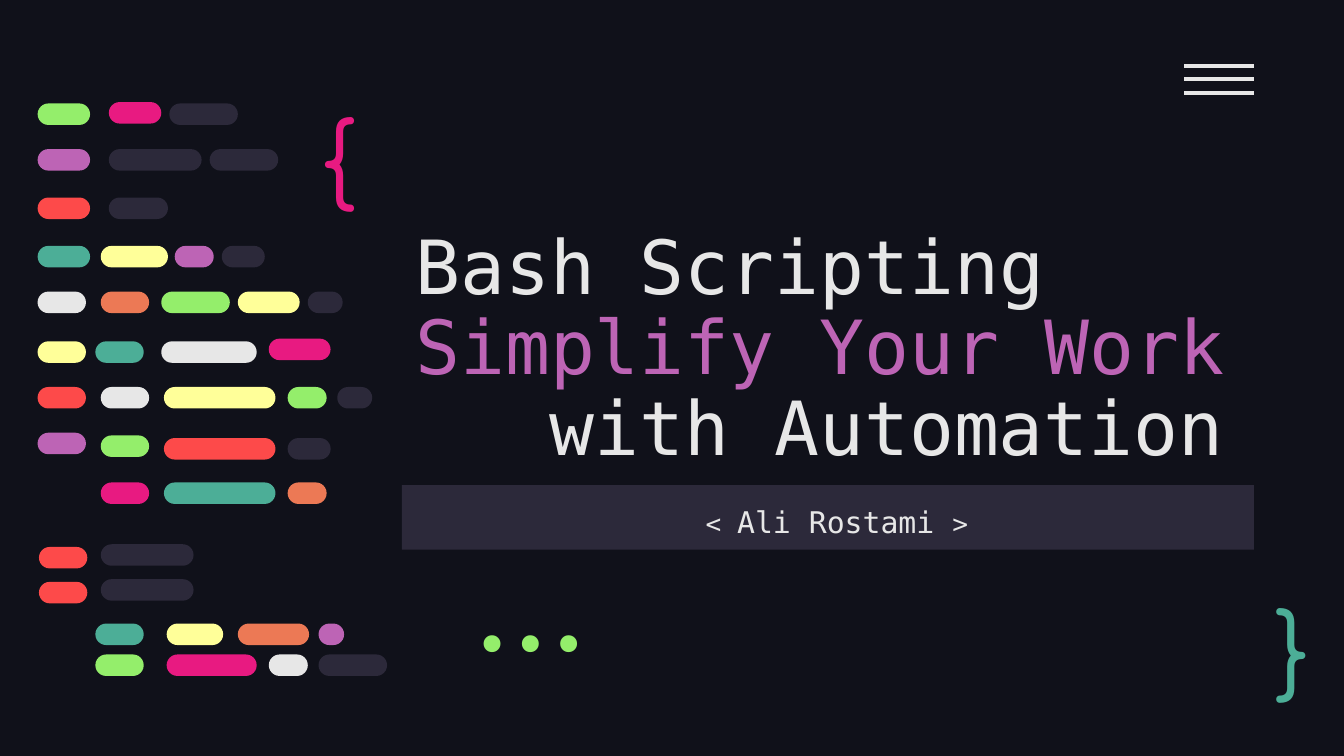
import pptx
import pptx.dml.color
import pptx.enum.shapes
import pptx.enum.text
import pptx.oxml
import pptx.oxml.ns
import pptx.util

CELL = pptx.util.Inches(0.01)  # the slide is a grid of 1000 columns by 562.5 rows
LIME, PINK, PURPLE, RED = "94EE6B", "E81A81", "BD64B5", "FD4A4A"
TEAL, YELLOW, ORANGE = "4CAE97", "FFFF99", "EC7955"
WHITE, SLATE, NIGHT = "E7E7E7", "2C293A", "10111A"
MONO = "DejaVu Sans Mono"

ALIGN = pptx.enum.text.PP_ALIGN
ANCHOR = pptx.enum.text.MSO_ANCHOR


def paint(fill, colour):
    fill.solid()
    fill.fore_color.rgb = pptx.dml.color.RGBColor.from_string(colour)


def place(shape, left, top, width, height):
    """Position a text shape on the grid and give it even margins."""
    shape.left, shape.top = left * CELL, top * CELL
    shape.width, shape.height = width * CELL, height * CELL
    frame = shape.text_frame
    frame.word_wrap = True
    frame.auto_size = pptx.enum.text.MSO_AUTO_SIZE.NONE
    frame.margin_left = frame.margin_right = 10 * CELL
    frame.margin_top = frame.margin_bottom = 10 * CELL
    return frame


deck = pptx.Presentation()
deck.slide_width, deck.slide_height = 1000 * CELL, int(562.5 * CELL)
slide = deck.slides.add_slide(deck.slide_layouts[0])
paint(slide.background.fill, NIGHT)

# Title
headline = place(slide.shapes.title, 299, 138, 657, 223)
headline.vertical_anchor = ANCHOR.BOTTOM
title_lines = [
    ("Bash Scripting", WHITE, 0),
    ("Simplify Your Work", PURPLE, 0),
    ("with Automation", WHITE, 100),
]
for number, (words, colour, indent) in enumerate(title_lines):
    line = headline.add_paragraph() if number else headline.paragraphs[0]
    line.text = words
    line.alignment = ALIGN.LEFT
    line.line_spacing = 0.9
    line.font.size = pptx.util.Pt(40)
    line.font.name = MONO
    paint(line.font.fill, colour)
    line._p.get_or_add_pPr().set("marL", str(indent * CELL))

# Author band
author_band = slide.placeholders[1]
author = place(author_band, 299, 361, 634, 48)
author.vertical_anchor = ANCHOR.TOP
paint(author_band.fill, SLATE)
byline = author.paragraphs[0]
byline.alignment = ALIGN.CENTER
byline.line_spacing = 1.15
byline.space_before = pptx.util.Pt(0)
byline.font.name = MONO
paint(byline.font.fill, WHITE)
for words, size in [(" ", 16), ("< ", 14), ("Ali Rostami ", 16), (">", 14)]:
    part = byline.add_run()
    part.text = words
    part.font.size = pptx.util.Pt(size)

# Code symbols
symbols = [
    ("{", (229, 62, 77, 95), "Comfortaa", PINK, ANCHOR.TOP, ALIGN.LEFT),
    ("}", (939, 438, 57, 83), "Comfortaa", TEAL, ANCHOR.MIDDLE, ALIGN.LEFT),
    ("...", (311, 449, 158, 60), "Fira Code", LIME, ANCHOR.BOTTOM, ALIGN.RIGHT),
]
for words, box, font, colour, anchor, alignment in symbols:
    symbol = place(slide.shapes.add_textbox(0, 0, CELL, CELL), *box)
    symbol.vertical_anchor = anchor
    mark = symbol.paragraphs[0]
    mark.text = words
    mark.alignment = alignment
    mark.font.size = pptx.util.Pt(50)
    mark.font.name = font
    paint(mark.font.fill, colour)

# Menu icon
menu = slide.shapes.add_group_shape()
for row in (49, 59, 69):
    bar = menu.shapes.add_connector(
        pptx.enum.shapes.MSO_CONNECTOR.STRAIGHT,
        881 * CELL, row * CELL, 933 * CELL, row * CELL)
    bar.line.width = pptx.util.Pt(2.25)
    paint(bar.line.fill, WHITE)
    bar._element.spPr.append(
        pptx.oxml.parse_xml("<a:effectLst %s/>" % pptx.oxml.ns.nsdecls("a")))

# Lines of code: row, then (column, width, colour) of each token
code_lines = [
    (77, [(28, 39, LIME), (126, 51, SLATE)]),
    (76, [(81, 39, PINK)]),
    (111, [(28, 39, PURPLE), (81, 69, SLATE), (156, 51, SLATE)]),
    (147, [(28, 39, RED), (81, 44, SLATE)]),
    (183, [(28, 39, TEAL), (75, 50, YELLOW), (130, 29, PURPLE), (165, 32, SLATE)]),
    (217, [(28, 36, WHITE), (75, 36, ORANGE), (120, 51, LIME), (177, 46, YELLOW),
           (229, 26, SLATE)]),
    (254, [(28, 36, YELLOW), (71, 36, TEAL), (120, 71, WHITE)]),
    (252, [(200, 46, PINK)]),
    (288, [(28, 36, RED), (75, 36, WHITE), (122, 83, YELLOW), (214, 29, LIME),
           (251, 26, SLATE)]),
    (322, [(28, 36, PURPLE)]),
    (324, [(75, 36, LIME)]),
    (326, [(122, 83, RED), (214, 32, SLATE)]),
    (359, [(75, 36, PINK), (122, 83, TEAL), (214, 29, ORANGE)]),
    (407, [(29, 36, RED)]),
    (405, [(75, 69, SLATE)]),
    (433, [(29, 36, RED)]),
    (431, [(75, 69, SLATE)]),
    (464, [(71, 36, TEAL), (124, 42, YELLOW), (177, 53, ORANGE), (237, 19, PURPLE)]),
    (487, [(71, 36, LIME), (124, 67, PINK), (200, 29, WHITE), (237, 51, SLATE)]),
]
code = slide.shapes.add_group_shape()
for row, tokens in code_lines:
    for column, width, colour in tokens:
        token = code.shapes.add_shape(
            pptx.enum.shapes.MSO_SHAPE.ROUNDED_RECTANGLE,
            column * CELL, row * CELL, width * CELL, 16 * CELL)
        token.adjustments[0] = 0.5
        token.shadow.inherit = False
        token.line.fill.background()
        paint(token.fill, colour)

deck.save("out.pptx")
